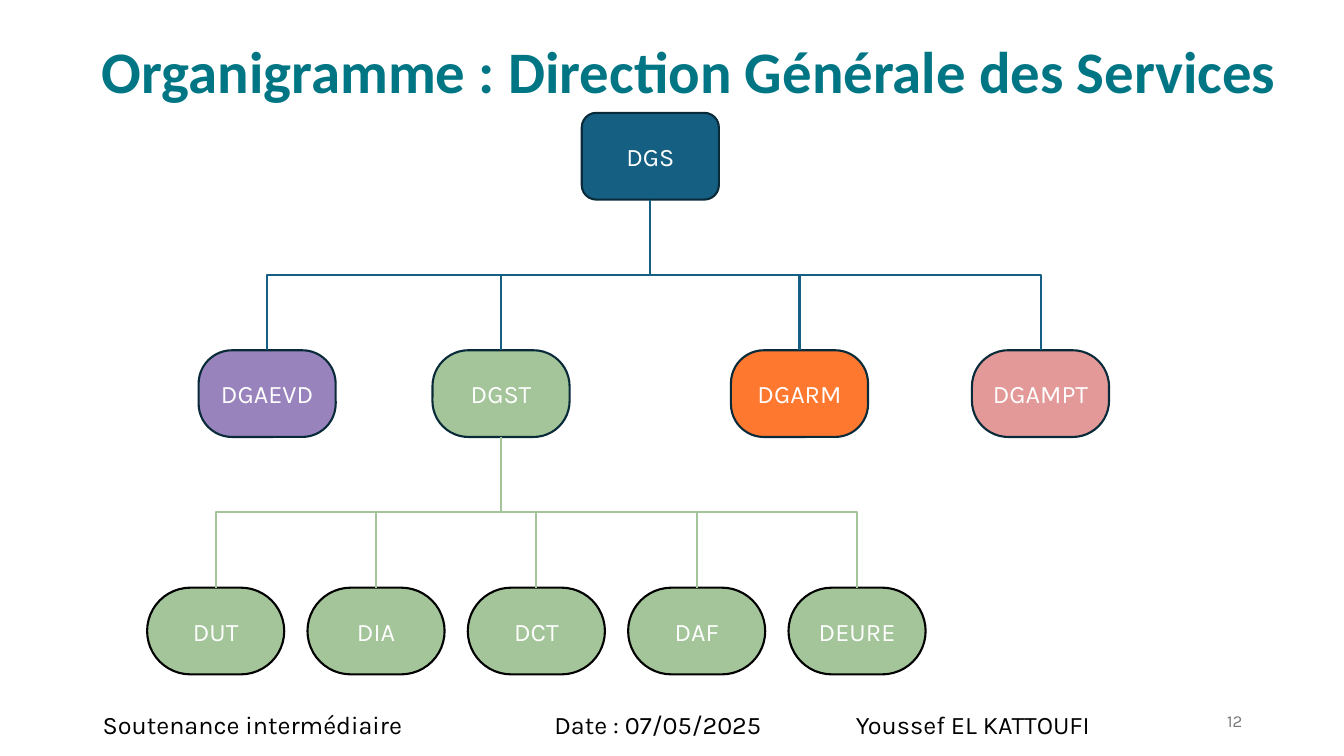
import pptx
import pptx.util
import pptx.dml.color
import pptx.enum.shapes
import pptx.enum.text
import pptx.oxml.ns
import lxml.etree

SLIDE_WIDTH = pptx.util.Inches(13.33)
SLIDE_HEIGHT = pptx.util.Inches(7.5)
NODE_WIDTH, NODE_HEIGHT = 10.2, 11.47
FIRST_LEVEL, LEVEL_STEP = 14.93, 31.4
TEAM_LEFT, TEAM_STEP = 10.95, 11.93
BOTTOM_SITE, TOP_SITE = 2, 0
BLUE, GREEN, NAVY, BLACK = "156082", "A3C599", "092A39", "000000"
ALIGN = pptx.enum.text.PP_ALIGN
ANCHOR = pptx.enum.text.MSO_ANCHOR

DIVISIONS = [
    ("DGAEVD", 14.78, "9983BC", 0.385),
    ("DGST", 32.18, GREEN, 0.415),
    ("DGARM", 54.39, "FE782F", 0.379),
    ("DGAMPT", 72.32, "E29998", 0.419),
]
TEAMS = ["DUT", "DIA", "DCT", "DAF", "DEURE"]
FOOTERS = [
    ("Soutenance intermédiaire", 6.9, 25.28),
    ("Date : 07/05/2025", 40.51, 18),
    ("Youssef EL KATTOUFI", 62.94, 20),
]


def color(hex_string):
    """Return the colour for a hex string."""
    return pptx.dml.color.RGBColor.from_string(hex_string)


def area(left, top, width, height):
    """Turn percentages of the slide into lengths."""
    return (
        round(SLIDE_WIDTH * left / 100),
        round(SLIDE_HEIGHT * top / 100),
        round(SLIDE_WIDTH * width / 100),
        round(SLIDE_HEIGHT * height / 100),
    )


def apply(target, values):
    """Set each attribute of the target from a dict."""
    for name, value in values.items():
        setattr(target, name, value)


def write(shape, text, frame=None, paragraph=None, font=None, ink=BLACK):
    """Write one formatted paragraph into a shape."""
    apply(shape.text_frame, {"word_wrap": True, **(frame or {})})
    line = shape.text_frame.paragraphs[0]
    apply(line, paragraph or {})
    run = line.add_run()
    run.text = text
    apply(run.font, {"name": "Karla", "size": pptx.util.Pt(18), **(font or {})})
    run.font.color.rgb = color(ink)


def add_text(slide, text, place, **formats):
    """Add a text box at a place given in percentages."""
    write(slide.shapes.add_textbox(*area(*place)), text, **formats)


def add_node(slide, text, left, level, fill, rounding, outline=NAVY):
    """Add one rounded box of the chart on a given level."""
    top = FIRST_LEVEL + level * LEVEL_STEP
    node = slide.shapes.add_shape(
        pptx.enum.shapes.MSO_SHAPE.ROUNDED_RECTANGLE,
        *area(left, top, NODE_WIDTH, NODE_HEIGHT),
    )
    node.adjustments[0] = rounding
    node.shadow.inherit = False
    node.fill.solid()
    node.fill.fore_color.rgb = color(fill)
    node.line.color.rgb = color(outline)
    node.line.width = pptx.util.Pt(1.5)
    write(
        node,
        text,
        frame={"word_wrap": False, "vertical_anchor": ANCHOR.MIDDLE},
        paragraph={"alignment": ALIGN.CENTER},
        ink="FFFFFF",
    )
    return node


def add_branch(slide, parent, child, ink):
    """Join the bottom of a parent to the top of a child with an elbow."""
    branch = slide.shapes.add_connector(
        pptx.enum.shapes.MSO_CONNECTOR.ELBOW, 0, 0, 0, 0
    )
    branch.begin_connect(parent, BOTTOM_SITE)
    branch.end_connect(child, TOP_SITE)
    start = parent.left + parent.width // 2
    end = child.left + child.width // 2
    upper = parent.top + parent.height
    drop, span = child.top - upper, abs(end - start)
    goes_right = end > start
    apply(
        branch,
        {
            "left": (start + end - drop) // 2,
            "top": upper + (drop - span) // 2,
            "width": drop,
            "height": span,
        },
    )
    properties = branch._element.spPr
    apply(
        properties.xfrm,
        {"flipH": goes_right, "flipV": False, "rot": 270 if goes_right else 90},
    )
    branch.line.color.rgb = color(ink)
    branch.line.width = pptx.util.Pt(1.5)
    lxml.etree.SubElement(properties, pptx.oxml.ns.qn("a:effectLst"))


def main():
    """Build the organisation chart slide."""
    presentation = pptx.Presentation()
    apply(presentation, {"slide_width": SLIDE_WIDTH, "slide_height": SLIDE_HEIGHT})
    slide = presentation.slides.add_slide(presentation.slide_layouts[6])

    add_text(
        slide,
        "12",
        (70.67, 92.67, 22.51, 5.33),
        frame={"vertical_anchor": ANCHOR.MIDDLE},
        paragraph={"alignment": ALIGN.RIGHT},
        font={"size": pptx.util.Pt(12)},
        ink="797979",
    )
    for text, left, width in FOOTERS:
        add_text(slide, text, (left, 93.2, width, 5.33))

    director = add_node(slide, "DGS", 43.29, 0, BLUE, 0.167)
    divisions = {
        text: add_node(slide, text, left, 1, fill, rounding)
        for text, left, fill, rounding in DIVISIONS
    }
    for division in divisions.values():
        add_branch(slide, director, division, BLUE)

    teams = [
        add_node(slide, text, TEAM_LEFT + index * TEAM_STEP, 2, GREEN, 0.5, BLACK)
        for index, text in enumerate(TEAMS)
    ]
    for team in teams:
        add_branch(slide, divisions["DGST"], team, GREEN)

    add_text(
        slide,
        "Organigramme : Direction Générale des Services",
        (3.6, -0.67, 95.35, 12.67),
        paragraph={
            "alignment": ALIGN.CENTER,
            "line_spacing": 1.5,
            "space_before": pptx.util.Pt(10),
        },
        font={"name": "Calibri", "size": pptx.util.Pt(42), "bold": True},
        ink="007685",
    )
    presentation.save("out.pptx")


if __name__ == "__main__":
    main()
